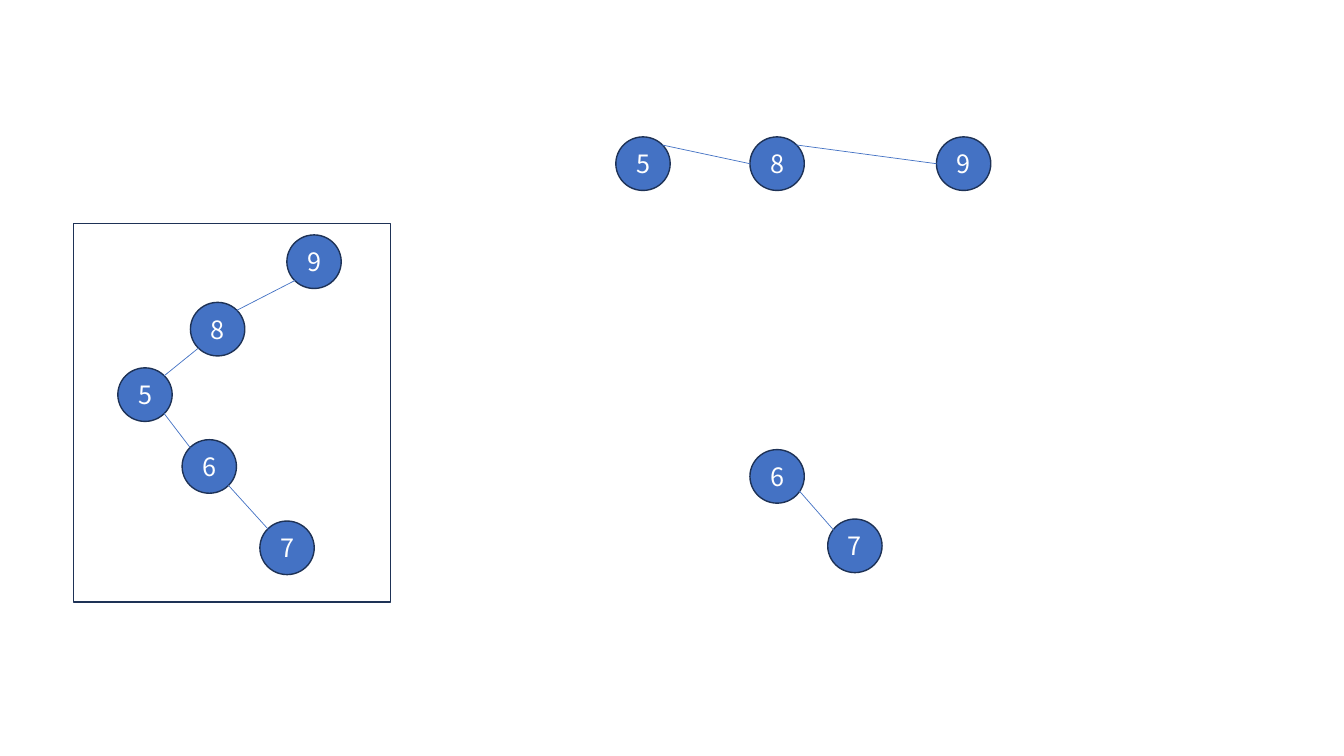
from lxml import etree
from pptx import Presentation
from pptx.dml.color import RGBColor
from pptx.enum.shapes import MSO_CONNECTOR, MSO_SHAPE
from pptx.enum.text import MSO_ANCHOR, PP_ALIGN
from pptx.oxml.ns import qn
from pptx.util import Cm, Pt

OVAL, RECT = MSO_SHAPE.OVAL, MSO_SHAPE.RECTANGLE
LINE = MSO_CONNECTOR.STRAIGHT
MIDDLE, CENTER = MSO_ANCHOR.MIDDLE, PP_ALIGN.CENTER

WHITE = RGBColor(0xFF, 0xFF, 0xFF)
BLUE = RGBColor(0x44, 0x72, 0xC4)
NAVY = RGBColor(0x1E, 0x32, 0x56)

NODE_W, NODE_H = 1.37, 1.35
LOW, HIGH = 0.15, 0.85
LEFT = (0, 0.5)
TOP_L, TOP_R = (LOW, LOW), (HIGH, LOW)
LOW_L, LOW_R = (LOW, HIGH), (HIGH, HIGH)

FONT = {"name": "Noto Sans CJK SC", "size": Pt(18)}
FRAME = {"vertical_anchor": MIDDLE, "word_wrap": True, "margin_left": 0,
         "margin_right": 0, "margin_top": 0, "margin_bottom": 0}


def apply(item, values):
    """Set each named attribute of an item."""
    for name, value in values.items():
        setattr(item, name, value)


def add_form(slide, kind, box, fill):
    """Add a filled shape with a navy outline."""
    form = slide.shapes.add_shape(kind, *map(Cm, box))
    form.shadow.inherit = False
    form.fill.solid()
    form.fill.fore_color.rgb = fill
    form.line.color.rgb = NAVY
    form.line.width = Pt(1)
    return form


def add_node(slide, left, top, label):
    """Add a round node with its number."""
    node = add_form(slide, OVAL, (left, top, NODE_W, NODE_H), BLUE)
    frame = node.text_frame
    apply(frame, FRAME)
    para = frame.paragraphs[0]
    para.alignment = CENTER
    run = para.add_run()
    run.text = label
    apply(run.font, FONT)
    run.font.color.rgb = WHITE


def add_edge(slide, start, end):
    """Add a thin line between two points."""
    edge = slide.shapes.add_connector(LINE, *map(Cm, start + end))
    edge.line.color.rgb = BLUE
    edge.line.width = Pt(0.5)
    etree.SubElement(edge._element.spPr, qn("a:effectLst"))


def add_graph(slide, box, nodes, edges):
    """Place nodes and their edges relative to the box corner."""
    left, top = box[:2]
    spots = {key: (left + x, top + y) for key, (x, y) in nodes.items()}
    for label, (x, y) in spots.items():
        add_node(slide, x, y, label)

    def point(key, site):
        """Find a site on the rim of a node."""
        x, y = spots[key]
        return x + site[0] * NODE_W, y + site[1] * NODE_H

    for first, out, second, into in edges:
        add_edge(slide, point(first, out), point(second, into))


def add_tree(slide, box):
    """Add the framed tree of five nodes."""
    add_form(slide, RECT, box, WHITE)
    nodes = {"9": (5.38, 0.28), "5": (1.12, 3.63), "8": (2.95, 1.98),
             "7": (4.7, 7.49), "6": (2.74, 5.44)}
    edges = [("9", LOW_L, "8", TOP_R), ("8", LOW_L, "5", TOP_R),
             ("5", LOW_R, "6", TOP_L), ("6", LOW_R, "7", TOP_L)]
    add_graph(slide, box, nodes, edges)


def add_row(slide, box):
    """Add the row of three nodes."""
    nodes = {"9": (8.08, 0), "8": (3.38, 0), "5": (0, 0)}
    edges = [("9", LEFT, "8", TOP_R), ("8", LEFT, "5", TOP_R)]
    add_graph(slide, box, nodes, edges)


def add_pair(slide, box):
    """Add the pair of nodes on a slope."""
    nodes = {"6": (0, 0), "7": (1.96, 1.75)}
    edges = [("6", (0.89, 0.75), "7", (0.19, 0.3))]
    add_graph(slide, box, nodes, edges)


def main():
    """Build and save the slide."""
    deck = Presentation()
    apply(deck, {"slide_width": Cm(33.87), "slide_height": Cm(19.05)})
    slide = deck.slides.add_slide(deck.slide_layouts[6])
    add_tree(slide, (1.85, 5.64, 8, 9.53))
    add_row(slide, (15.52, 3.45, 9.45, 1.35))
    add_pair(slide, (18.9, 11.33, 3.33, 3.1))
    deck.save("out.pptx")


main()
